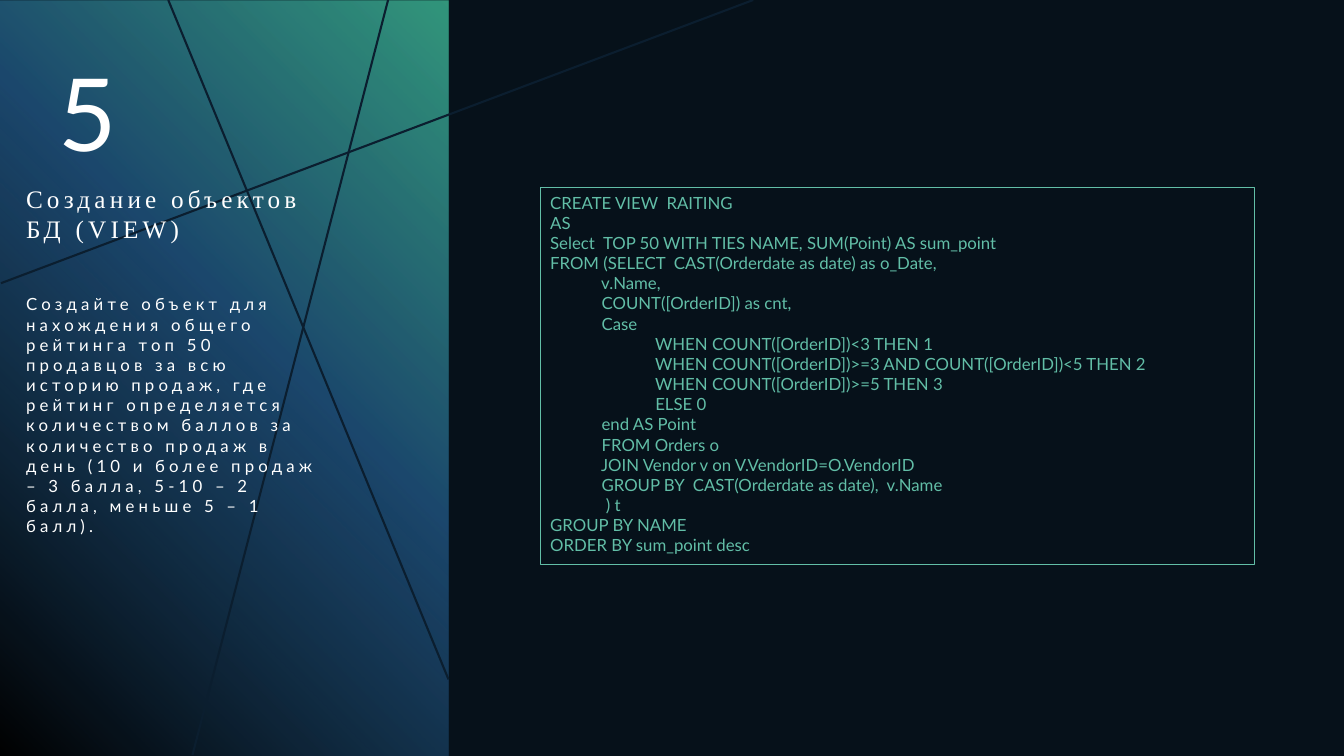
from dataclasses import dataclass

from lxml.etree import SubElement as Sub
from pptx import Presentation
from pptx.dml.color import RGBColor as Rgb
from pptx.enum.shapes import MSO_CONNECTOR as Conn, MSO_SHAPE as Kind
from pptx.enum.text import MSO_ANCHOR as Anchor, PP_ALIGN as Align
from pptx.oxml.ns import qn
from pptx.util import Pt

HUES = {
    "night": "06111A", "line": "0B1E2F", "mint": "62BEA7", "white": "FFFFFF",
    "black": "000000", "blue": "20537F", "green": "3DB692",
}

CODE = """CREATE VIEW  RAITING
AS
Select  TOP 50 WITH TIES NAME, SUM(Point) AS sum_point
FROM (SELECT  CAST(Orderdate as date) as o_Date,
            v.Name,
            COUNT([OrderID]) as cnt,
            Case
            \t WHEN COUNT([OrderID])<3 THEN 1
              \t WHEN COUNT([OrderID])>=3 AND COUNT([OrderID])<5 THEN 2
             \t WHEN COUNT([OrderID])>=5 THEN 3
              \t ELSE 0
            end AS Point
            FROM Orders o
            JOIN Vendor v on V.VendorID=O.VendorID
            GROUP BY  CAST(Orderdate as date),  v.Name
             ) t
GROUP BY NAME
ORDER BY sum_point desc"""

TASK = (
    "Cоздайте объект для нахождения общего рейтинга топ 50 продавцов "
    "за всю историю продаж, где рейтинг определяется количеством баллов "
    "за количество продаж в день (10 и более продаж – 3 балла, "
    "5-10 – 2 балла, меньше 5 – 1 балл)."
)


@dataclass
class Stop:
    place: int
    hue: str
    alpha: int = 100


@dataclass
class Ray:
    x1: float
    y1: float
    x2: float
    y2: float


@dataclass
class Label:
    text: str
    left: float
    top: float
    width: float
    height: float
    size: float = 12
    font: str = "Lato"
    hue: str = "white"
    gap: float = 0
    align: Align = Align.LEFT
    framed: bool = False


STOPS = [Stop(0, "black"), Stop(56, "blue", 80), Stop(100, "green", 80)]

RAYS = [
    Ray(538, 0, 0.7, 202.3),
    Ray(320.4, 485.3, 120.2, 0),
    Ray(137.5, 539.3, 277.2, 0),
]

LABELS = [
    Label("5", -4.3, 32.4, 134.6, 94.3, size=72, align=Align.CENTER),
    Label("Создание объектов БД (VIEW)", 11.5, 127.4, 219.6, 51.1,
          size=18, font="Times New Roman", gap=3),
    Label(CODE, 385.9, 133.9, 510.5, 269.3, hue="mint", framed=True),
    Label(TASK, 11.5, 206.6, 234, 167, gap=3),
]


def tint(name: str) -> Rgb:
    return Rgb.from_string(HUES[name])


def add_panel(slide) -> None:
    """Draw the left panel with its diagonal gradient."""
    panel = slide.shapes.add_shape(Kind.RECTANGLE, 0, Pt(0.7), Pt(320.4), Pt(540))
    panel.shadow.inherit = False
    panel.line.fill.background()
    panel.fill.gradient()
    panel.fill.gradient_angle = 45
    ramp = panel._element.spPr.find(qn("a:gradFill")).find(qn("a:gsLst"))
    for old in list(ramp):
        ramp.remove(old)
    for stop in STOPS:
        mark = Sub(ramp, qn("a:gs"), pos=str(stop.place * 1000))
        shade = Sub(mark, qn("a:srgbClr"), val=HUES[stop.hue])
        if stop.alpha < 100:
            Sub(shade, qn("a:alpha"), val=str(stop.alpha * 1000))


def add_ray(slide, ray: Ray) -> None:
    line = slide.shapes.add_connector(
        Conn.STRAIGHT, Pt(ray.x1), Pt(ray.y1), Pt(ray.x2), Pt(ray.y2))
    line.line.color.rgb = tint("line")
    line.line.width = Pt(1.5)
    Sub(line._element.spPr, qn("a:effectLst"))


def add_label(slide, item: Label) -> None:
    area = Pt(item.left), Pt(item.top), Pt(item.width), Pt(item.height)
    if item.framed:
        box = slide.shapes.add_shape(Kind.RECTANGLE, *area)
        box.shadow.inherit = False
        box.fill.solid()
        box.fill.fore_color.rgb = tint("night")
        box.line.color.rgb = tint(item.hue)
        box.line.width = Pt(0.75)
    else:
        box = slide.shapes.add_textbox(*area)
    frame = box.text_frame
    frame.word_wrap = True
    frame.vertical_anchor = Anchor.TOP
    frame.text = item.text
    for para in frame.paragraphs:
        para.alignment = item.align
        for run in para.runs:
            run.font.name = item.font
            run.font.size = Pt(item.size)
            run.font.color.rgb = tint(item.hue)
            if item.gap:
                run._r.get_or_add_rPr().set("spc", str(int(item.gap * 100)))


def main() -> None:
    deck = Presentation()
    deck.slide_width, deck.slide_height = Pt(960), Pt(540)
    slide = deck.slides.add_slide(deck.slide_layouts[6])
    slide.background.fill.solid()
    slide.background.fill.fore_color.rgb = tint("night")
    add_panel(slide)
    for ray in RAYS:
        add_ray(slide, ray)
    for item in LABELS:
        add_label(slide, item)
    deck.save("out.pptx")


if __name__ == "__main__":
    main()
